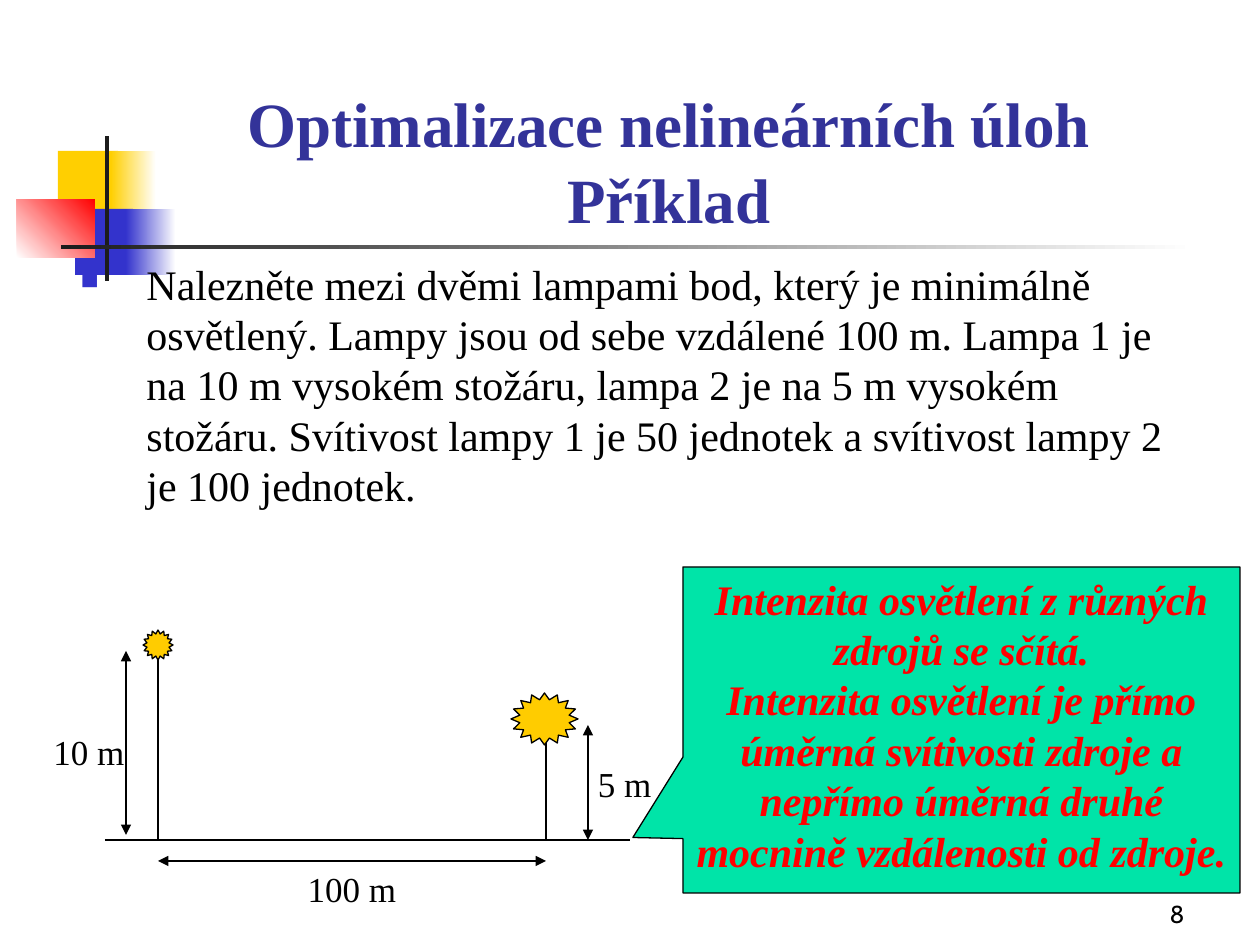
from lxml import etree
from pptx import Presentation
from pptx.dml.color import RGBColor
from pptx.enum.shapes import MSO_CONNECTOR, MSO_SHAPE
from pptx.enum.text import MSO_ANCHOR, PP_ALIGN
from pptx.oxml.ns import qn
from pptx.util import Emu, Pt

RECT = MSO_SHAPE.RECTANGLE
STAR = MSO_SHAPE.STAR_16_POINT
CALLOUT = MSO_SHAPE.RECTANGULAR_CALLOUT
STRAIGHT = MSO_CONNECTOR.STRAIGHT
TOP, BOTTOM = MSO_ANCHOR.TOP, MSO_ANCHOR.BOTTOM
LEFT, CENTER, RIGHT = PP_ALIGN.LEFT, PP_ALIGN.CENTER, PP_ALIGN.RIGHT

BLACK = RGBColor(0x00, 0x00, 0x00)
WHITE = RGBColor(0xFF, 0xFF, 0xFF)
RED = RGBColor(0xFF, 0x00, 0x00)
YELLOW = RGBColor(0xFF, 0xCF, 0x01)
BLUE = RGBColor(0x33, 0x33, 0xCC)
CHARCOAL = RGBColor(0x1C, 0x1C, 0x1C)
TITLE_BLUE = RGBColor(0x33, 0x33, 0x99)
LAMP = RGBColor(0xFF, 0xCC, 0x00)
GREEN = RGBColor(0x00, 0xE4, 0xA8)

SERIF = "Times New Roman"
PX = 914400 / 126  # EMU in one px


def px(*lengths):
    return [Emu(round(n * PX)) for n in lengths]


def write(sp, text, size, color, align=CENTER, anchor=TOP, font=SERIF, bold=False, italic=False):
    """Fill a shape with text, one paragraph per line, all in one style."""
    tf = sp.text_frame
    tf.word_wrap = True
    tf.vertical_anchor = anchor
    tf.text = text
    for p in tf.paragraphs:
        p.alignment = align
        for r in p.runs:
            r.font.name = font
            r.font.size = Pt(size)
            r.font.bold = bold
            r.font.italic = italic
            r.font.color.rgb = color


prs = Presentation()
prs.slide_width, prs.slide_height = px(1260, 945)
s = prs.slides.add_slide(prs.slide_layouts[6])

# Corner ornament: box, start colour, end colour, gradient angle
ornament = [
    ((58, 151, 60, 66), YELLOW, None, 0),
    ((111, 151, 45, 66), YELLOW, WHITE, 0),
    ((75, 209, 58, 66), BLUE, None, 0),
    ((126, 209, 50, 66), BLUE, WHITE, 0),
    ((17, 199, 78, 59), WHITE, RED, 45),
    ((105, 136, 4, 145), CHARCOAL, None, 0),
    ((61, 245, 1134, 4), CHARCOAL, WHITE, 0),
]
for box, start, end, angle in ornament:
    sp = s.shapes.add_shape(RECT, *px(*box))
    sp.shadow.inherit = False
    sp.line.fill.background()
    if end is None:
        sp.fill.solid()
        sp.fill.fore_color.rgb = start
    else:
        sp.fill.gradient()
        sp.fill.gradient_angle = angle
        for stop, color in zip(sp.fill.gradient_stops, (start, end)):
            stop.color.rgb = color

number = s.shapes.add_textbox(*px(935, 872, 262, 63))
write(number, "8", 14, BLACK, align=RIGHT, anchor=BOTTOM, font="Cabin")

title = s.shapes.add_textbox(*px(105, 84, 1128, 158))
write(title, "Optimalizace nelineárních úloh\vPříklad", 36, TITLE_BLUE, anchor=BOTTOM, bold=True)

body = s.shapes.add_textbox(*px(42, 252, 1166, 315))
write(
    body,
    "Nalezněte mezi dvěmi lampami bod, který je minimálně osvětlený. "
    "Lampy jsou od sebe vzdálené 100 m. Lampa 1 je na 10 m vysokém stožáru, "
    "lampa 2 je na 5 m vysokém stožáru. Svítivost lampy 1 je 50 jednotek "
    "a svítivost lampy 2 je 100 jednotek.",
    24, BLACK, align=LEFT,
)
pPr = body.text_frame.paragraphs[0]._p.get_or_add_pPr()
margin, indent = px(92, -66)
pPr.set("marL", str(margin))
pPr.set("indent", str(indent))
bullet_color = etree.SubElement(pPr, qn("a:buClr"))
etree.SubElement(bullet_color, qn("a:srgbClr"), val=str(BLUE))
etree.SubElement(pPr, qn("a:buSzPct"), val="60000")
etree.SubElement(pPr, qn("a:buChar"), char="■")

# Ground, two posts, then the dimension lines with arrowheads at both ends
GROUND, POST_1, POST_2 = 840, 158, 546
lines = [
    ((105, GROUND, 630, GROUND), False),
    ((POST_1, GROUND, POST_1, 651), False),
    ((POST_2, GROUND, POST_2, 735), False),
    ((POST_1, 861, POST_2, 861), True),
    ((126, 651, 126, 835), True),
    ((588, 725, 588, GROUND), True),
]
for ends, is_dimension in lines:
    line = s.shapes.add_connector(STRAIGHT, *px(*ends))
    line.line.color.rgb = BLACK
    line.line.width = Pt(0.75)
    if is_dimension:
        ln = line.line._get_or_add_ln()
        for tag in ("a:headEnd", "a:tailEnd"):
            etree.SubElement(ln, qn(tag), type="triangle")
    etree.SubElement(line._element.spPr, qn("a:effectLst"))

for label, box in [
    ("100 m", (284, 861, 136, 55)),
    ("5 m", (577, 756, 95, 55)),
    ("10 m", (21, 724, 136, 55)),
]:
    write(s.shapes.add_textbox(*px(*box)), label, 20, BLACK)

outlined = [
    (STAR, (143, 630, 30, 30), LAMP),
    (STAR, (511, 693, 67, 52), LAMP),
    (CALLOUT, (683, 567, 557, 326), GREEN),
]
for kind, box, color in outlined:
    sp = s.shapes.add_shape(kind, *px(*box))
    sp.shadow.inherit = False
    sp.fill.solid()
    sp.fill.fore_color.rgb = color
    sp.line.color.rgb = BLACK
    sp.line.width = Pt(0.75)

# The last outlined shape is the callout
sp.adjustments[0] = -0.59
sp.adjustments[1] = 0.33
write(
    sp,
    "Intenzita osvětlení z různých zdrojů se sčítá.\n"
    "Intenzita osvětlení je přímo úměrná svítivosti zdroje a nepřímo úměrná "
    "druhé mocnině vzdálenosti od zdroje.",
    24, RED, bold=True, italic=True,
)

prs.save("out.pptx")
